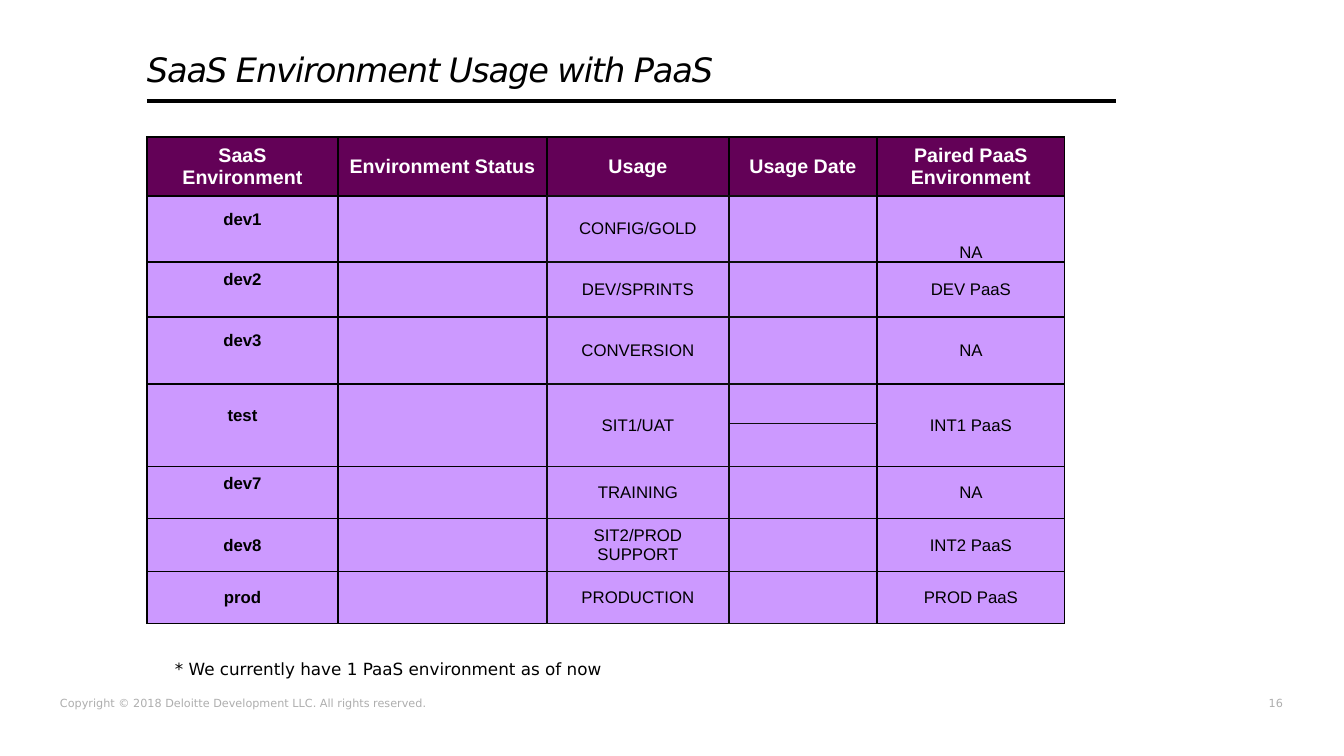
from lxml.etree import SubElement
from pptx import Presentation
from pptx.dml.color import RGBColor
from pptx.enum.shapes import MSO_CONNECTOR
from pptx.enum.text import MSO_ANCHOR, MSO_AUTO_SIZE, PP_ALIGN
from pptx.oxml import parse_xml
from pptx.oxml.ns import nsdecls, qn
from pptx.util import Emu, Pt

EMU_PER_PX = 9071.43
BLACK, NEAR_BLACK, GREY, WHITE = "000000", "0D0D0D", "AEAEAE", "FFFFFF"
PLUM, LILAC = "630157", "CC99FF"
COLUMN_WIDTHS = [191, 209, 182, 148, 188]
ROW_HEIGHTS = [59, 66, 55, 67, 40, 43, 52, 53, 52]
HEADINGS = ["SaaS Environment", "Environment Status", "Usage", "Usage Date",
            "Paired PaaS Environment"]
# Table row, SaaS environment, usage, paired PaaS environment
ENVIRONMENTS = [
    (1, "dev1", "CONFIG/GOLD", "NA"),
    (2, "dev2", "DEV/SPRINTS", "DEV PaaS"),
    (3, "dev3", "CONVERSION", "NA"),
    (4, "test", "SIT1/UAT", "INT1 PaaS"),
    (6, "dev7", "TRAINING", "NA"),
    (7, "dev8", "SIT2/PROD SUPPORT", "INT2 PaaS"),
    (8, "prod", "PRODUCTION", "PROD PaaS"),
]
TEST_ROW = 4
RAISED_NAMES = ("dev1", "dev2", "dev3", "test", "dev7")


def px(length):
    return Emu(round(length * EMU_PER_PX))


def color(hex_value):
    return RGBColor.from_string(hex_value)


def add_run(paragraph, text, size, hex_value, face="DejaVu Sans", bold=False):
    run = paragraph.add_run()
    run.text = text
    run.font.name = face
    run.font.size = Pt(size)
    run.font.bold = bold
    run.font.color.rgb = color(hex_value)
    return run


def set_margins(area, left, top, right, bottom):
    area.margin_left, area.margin_top = px(left), px(top)
    area.margin_right, area.margin_bottom = px(right), px(bottom)


def add_title(slide, text):
    title = slide.shapes.title
    title.left, title.top, title.width, title.height = px(147), px(52), px(773), px(67)
    frame = title.text_frame
    frame.auto_size = MSO_AUTO_SIZE.NONE
    frame.vertical_anchor = MSO_ANCHOR.TOP
    set_margins(frame, 0, 5, 0, 0)
    paragraph = frame.paragraphs[0]
    paragraph.alignment = PP_ALIGN.LEFT
    paragraph.line_spacing = 0.8
    run = add_run(paragraph, text, 24, BLACK)
    run.font.italic = True
    run.font._element.set("spc", "-80")


def add_rule(slide, left, right, y):
    rule = slide.shapes.add_connector(
        MSO_CONNECTOR.STRAIGHT, px(left), px(y), px(right), px(y))
    rule.line.color.rgb = color(BLACK)
    rule.line.width = Pt(2.75)
    SubElement(rule._element.spPr, qn("a:effectLst"))


def add_text(slide, box, text, size, hex_value, align=PP_ALIGN.LEFT, tight=False):
    frame = slide.shapes.add_textbox(*map(px, box)).text_frame
    frame.word_wrap = not tight
    if tight:
        set_margins(frame, 0, 0, 0, 0)
    frame.paragraphs[0].alignment = align
    add_run(frame.paragraphs[0], text, size, hex_value)


def style_cell(cell, fill, border):
    cell.fill.solid()
    cell.fill.fore_color.rgb = color(fill)
    cell.vertical_anchor = MSO_ANCHOR.MIDDLE
    set_margins(cell, 10, 0, 10, 0)
    properties = cell._tc.get_or_add_tcPr()
    for position, side in enumerate("LRTB"):
        properties.insert(position, parse_xml(
            f'<a:ln{side} {nsdecls("a")} w="12700"><a:solidFill>'
            f'<a:srgbClr val="{border}"/></a:solidFill></a:ln{side}>'))


def fill_cell(cell, text, size, hex_value, bold=False):
    set_margins(cell, 10, 5, 10, 5)
    paragraph = cell.text_frame.paragraphs[0]
    paragraph.alignment = PP_ALIGN.CENTER
    add_run(paragraph, text, size, hex_value, "Arial", bold)


def add_environment_table(slide):
    table = slide.shapes.add_table(
        len(ROW_HEIGHTS), len(COLUMN_WIDTHS), px(147), px(137),
        px(sum(COLUMN_WIDTHS)), px(sum(ROW_HEIGHTS))).table
    for column, width in zip(table.columns, COLUMN_WIDTHS):
        column.width = px(width)
    for row, height in zip(table.rows, ROW_HEIGHTS):
        row.height = px(height)
    for r in range(len(ROW_HEIGHTS)):
        for c in range(len(COLUMN_WIDTHS)):
            border = NEAR_BLACK if r and c in (2, 3) else BLACK
            style_cell(table.cell(r, c), LILAC if r else PLUM, border)

    # The test environment covers two usage dates
    for c in (0, 1, 2, 4):
        table.cell(TEST_ROW, c).merge(table.cell(TEST_ROW + 1, c))

    for c, heading in enumerate(HEADINGS):
        fill_cell(table.cell(0, c), heading, 14, WHITE, bold=True)
    for r, name, usage, paired in ENVIRONMENTS:
        fill_cell(table.cell(r, 0), name, 12, BLACK, bold=True)
        fill_cell(table.cell(r, 2), usage, 12, BLACK)
        fill_cell(table.cell(r, 4), paired, 12, BLACK)
        if name in RAISED_NAMES:
            table.cell(r, 0).margin_bottom = px(24)

    # The first pairing sits at the foot of its cell
    first_pairing = table.cell(1, 4)
    first_pairing.vertical_anchor = MSO_ANCHOR.BOTTOM
    set_margins(first_pairing, 1, 1, 1, 0)


def main():
    presentation = Presentation()
    presentation.slide_width, presentation.slide_height = px(1344), px(756)
    slide = presentation.slides.add_slide(presentation.slide_layouts[5])

    # Footer
    add_text(slide, (60, 696, 372, 13),
             "Copyright © 2018 Deloitte Development LLC. All rights reserved.",
             8, GREY, tight=True)
    add_text(slide, (1264, 696, 19, 13), "16", 8, GREY, PP_ALIGN.RIGHT, tight=True)

    # Heading, table and note
    add_title(slide, "SaaS Environment Usage with PaaS")
    add_environment_table(slide)
    add_rule(slide, 147, 1116, 101)
    add_text(slide, (165, 654, 874, 30),
             "* We currently have 1 PaaS environment as of now", 12, BLACK)

    presentation.save("out.pptx")


if __name__ == "__main__":
    main()
